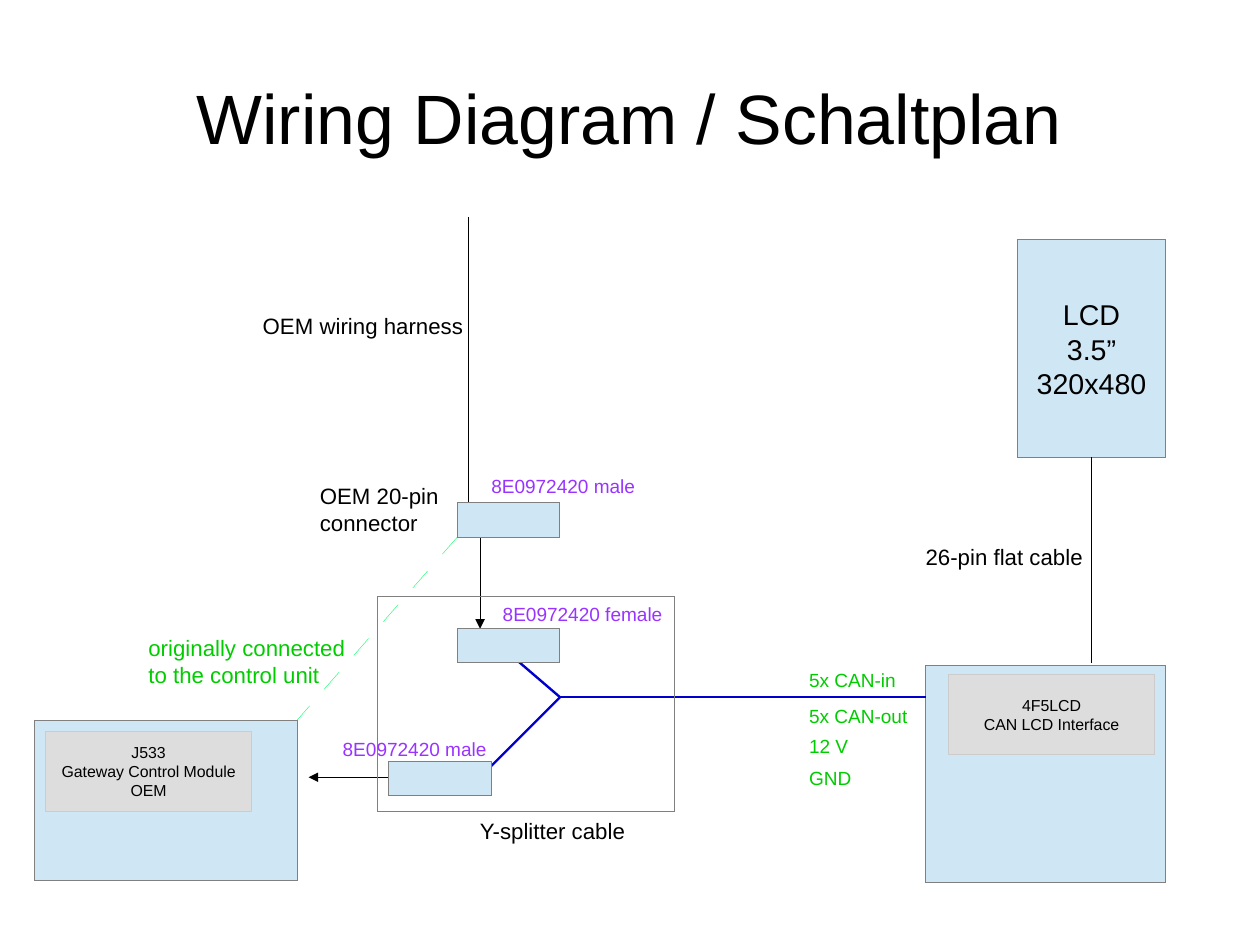
from pptx import Presentation
from pptx.dml.color import RGBColor
from pptx.enum.shapes import MSO_CONNECTOR as CONN, MSO_SHAPE as SHAPE
from pptx.enum.text import MSO_ANCHOR as ANCHOR, MSO_AUTO_SIZE as AUTO, PP_ALIGN as ALIGN
from pptx.oxml.ns import qn
from pptx.util import Cm, Pt
from lxml.etree import SubElement

PX = 9144  # EMU per px, 100 px to the inch
BLACK = RGBColor(0x00, 0x00, 0x00)
GREY = RGBColor(0x80, 0x80, 0x80)
PALE_BLUE = RGBColor(0xCF, 0xE7, 0xF5)
PALE_GREY = RGBColor(0xDD, 0xDD, 0xDD)
EDGE_GREY = RGBColor(0xCC, 0xCC, 0xCC)
BLUE = RGBColor(0x00, 0x00, 0xCC)
GREEN = RGBColor(0x00, 0xCC, 0x00)
MINT = RGBColor(0x00, 0xFF, 0x66)
PURPLE = RGBColor(0x99, 0x33, 0xFF)


def write(tf, text, size=14, color=BLACK, align=ALIGN.LEFT, anchor=ANCHOR.TOP,
          insets=(10, 5)):
    tf.word_wrap = True
    tf.vertical_anchor = anchor
    tf.margin_left = tf.margin_right = insets[0] * PX
    tf.margin_top = tf.margin_bottom = insets[1] * PX
    for i, line in enumerate(text.split("\n")):
        p = tf.paragraphs[0] if i == 0 else tf.add_paragraph()
        p.alignment = align
        r = p.add_run()
        r.text = line
        r.font.name = "Arial"
        r.font.size = Pt(size)
        r.font.color.rgb = color


class Diagram:
    def __init__(self, slide):
        self.shapes = slide.shapes

    def stroke(self, sp, color, width=0):
        sp.line.color.rgb = color
        ln = sp.line._get_or_add_ln()
        ln.set("w", str(Pt(width)))  # a hairline needs an explicit zero
        return ln

    def box(self, x, y, w, h, fill=PALE_BLUE, edge=GREY, text="", size=10):
        sp = self.shapes.add_shape(SHAPE.RECTANGLE, x * PX, y * PX, w * PX, h * PX)
        sp.shadow.inherit = False
        if fill is None:
            sp.fill.background()
        else:
            sp.fill.solid()
            sp.fill.fore_color.rgb = fill
        self.stroke(sp, edge)
        if text:
            write(sp.text_frame, text, size=size, align=ALIGN.CENTER, anchor=ANCHOR.MIDDLE)
        return sp

    def label(self, x, y, w, h, text, **fmt):
        sp = self.shapes.add_textbox(x * PX, y * PX, w * PX, h * PX)
        write(sp.text_frame, text, **fmt)
        sp.text_frame.auto_size = AUTO.SHAPE_TO_FIT_TEXT
        return sp

    def line(self, x1, y1, x2, y2, color=BLACK, width=0, dash=None, arrow=False):
        cn = self.shapes.add_connector(CONN.STRAIGHT, x1 * PX, y1 * PX, x2 * PX, y2 * PX)
        ln = self.stroke(cn, color, width)
        if dash:  # equal dashes and gaps, as a multiple of the line width
            length = str(round(dash * PX / Pt(width) * 100000))
            SubElement(SubElement(ln, qn("a:custDash")), qn("a:ds"), d=length, sp=length)
        if arrow:
            SubElement(ln, qn("a:tailEnd"), type="triangle")
        SubElement(cn._element.spPr, qn("a:effectLst"))
        return cn


def main():
    prs = Presentation()
    prs.slide_width, prs.slide_height = Cm(28), Cm(21)
    d = Diagram(prs.slides.add_slide(prs.slide_layouts[6]))

    d.label(55, 33, 992, 138, "Wiring Diagram / Schaltplan", size=44,
            align=ALIGN.CENTER, anchor=ANCHOR.MIDDLE, insets=(0, 0))

    # Gateway, display and interface
    d.box(30, 630, 230, 140)
    lcd = d.box(890, 210, 130, 190, text="LCD\n3.5”\n320x480", size=18)
    d.box(810, 582, 210, 190)
    flat_cable = d.line(955, 400, 955, 580)
    flat_cable.begin_connect(lcd, 2)

    # Wiring harness
    d.line(410, 190, 410, 440)

    # Cables of the splitter
    d.line(400, 470, 260, 630, color=MINT, width=0.26, dash=20)
    for ends in ((810, 610, 490, 610), (420, 550, 490, 610), (490, 610, 420, 680)):
        d.line(*ends, color=BLUE, width=1.5)
    d.line(420, 680, 270, 680, arrow=True)
    d.line(420, 470, 420, 550, arrow=True)

    # Module names
    for x, y, text in ((40, 640, "J533\nGateway Control Module\nOEM"),
                       (830, 590, "4F5LCD\nCAN LCD Interface")):
        d.box(x, y, 180, 70, fill=PALE_GREY, edge=EDGE_GREY, text=text)

    # Plugs and the splitter frame
    for x, y in ((400, 440), (400, 550), (340, 666)):
        d.box(x, y, 90, 30)
    d.box(330, 522, 260, 188, fill=None)

    # Cable labels
    for x, y, w, h, text in ((800, 470, 300, 32, "26-pin flat cable"),
                             (410, 710, 320, 32, "Y-splitter cable"),
                             (220, 268, 270, 32, "OEM wiring harness"),
                             (270, 417, 210, 54, "OEM 20-pin connector")):
        d.label(x, y, w, h, text)
    d.label(120, 550, 410, 54, "originally connected\nto the control unit", color=GREEN)

    # Part numbers
    for x, y, gender in ((420, 410, "male"), (290, 640, "male"), (430, 522, "female")):
        d.label(x, y, 250, 29, f"8E0972420 {gender}", size=12, color=PURPLE)

    # Signals
    for y, signal in ((580, "5x CAN-in"), (611, "5x CAN-out"), (638, "12 V"), (666, "GND")):
        d.label(698, y, 130, 29, signal, size=12, color=GREEN)

    prs.save("out.pptx")


if __name__ == "__main__":
    main()
